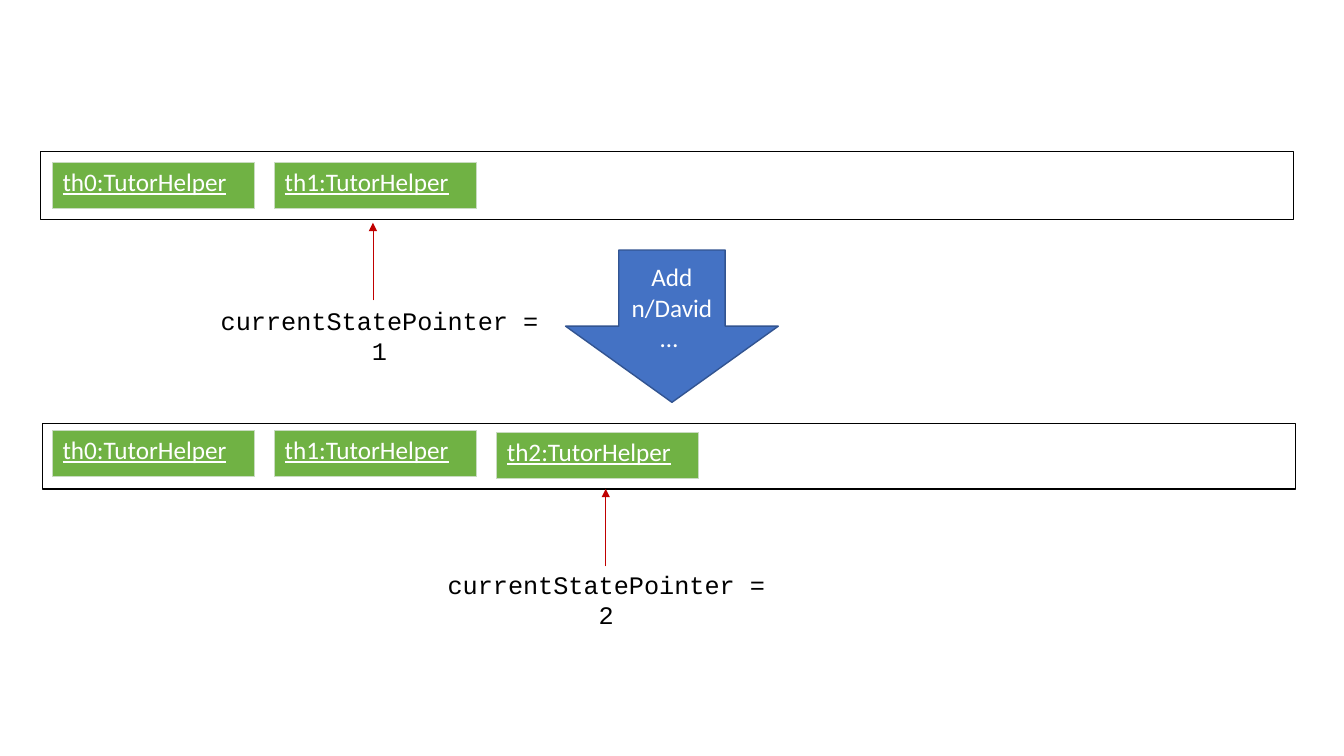
from lxml.etree import SubElement
from pptx import Presentation
from pptx.dml.color import RGBColor
from pptx.enum.shapes import MSO_CONNECTOR as Connector, MSO_SHAPE as Preset
from pptx.enum.text import MSO_ANCHOR as Anchor, MSO_AUTO_SIZE as AutoSize, PP_ALIGN as Align
from pptx.oxml import parse_xml
from pptx.oxml.ns import nsdecls, qn
from pptx.util import Pt

TILE_WIDTH, TILE_HEIGHT, TILE_PITCH = 144, 33.12, 158.7
LABEL_WIDTH, LABEL_HEIGHT = 252.7, 29


def color(value):
    return RGBColor.from_string(value)


def place(*lengths):
    return [Pt(length) for length in lengths]


def write(frame, text, font_color, font_name="Calibri", align=None, **formats):
    paragraph = frame.paragraphs[0]
    paragraph.alignment = align
    run = paragraph.add_run()
    run.text = text
    formats = {"name": font_name, "size": Pt(18), **formats}
    for name, value in formats.items():
        setattr(run.font, name, value)
    run.font.color.rgb = color(font_color)


def add_preset(slide, preset, box, line_color, fill_color=None):
    shape = slide.shapes.add_shape(preset, *place(*box))
    shape.shadow.inherit = False
    if fill_color:
        shape.fill.solid()
        shape.fill.fore_color.rgb = color(fill_color)
    else:
        shape.fill.background()
    shape.line.color.rgb = color(line_color)
    shape.line.width = Pt(1)
    return shape


def add_state_tile(slide, left, top, text):
    frame = slide.shapes.add_table(1, 1, *place(left, top, TILE_WIDTH, TILE_HEIGHT))
    cell = frame.table.cell(0, 0)
    cell.fill.solid()
    cell.fill.fore_color.rgb = color("70B244")
    write(cell.text_frame, text, "FFFFFF", underline=True, bold=False)
    properties = cell._tc.get_or_add_tcPr()
    for index, side in enumerate(("lnL", "lnR", "lnT", "lnB")):
        border = parse_xml(
            f'<a:{side} {nsdecls("a")} w="6350"><a:solidFill>'
            f'<a:srgbClr val="C9DBC1"/></a:solidFill></a:{side}>')
        properties.insert(index, border)


def add_state_list(slide, box, inset, tile_drops):
    left, top, width, height = box
    add_preset(slide, Preset.RECTANGLE, box, "000000")
    for index, drop in enumerate(tile_drops):
        add_state_tile(slide, left + inset + index * TILE_PITCH, top + drop,
                       f"th{index}:TutorHelper")


def add_pointer(slide, tip, label_left, label_top, state):
    x, tip_y = tip
    arrow = slide.shapes.add_connector(
        Connector.STRAIGHT, *place(x, tip_y + 55.4, x, tip_y))
    arrow.line.color.rgb = color("C00000")
    arrow.line.width = Pt(0.5)
    SubElement(arrow.line._get_or_add_ln(), qn("a:tailEnd"), type="triangle")
    SubElement(arrow._element.spPr, qn("a:effectLst"))
    label = slide.shapes.add_textbox(
        *place(label_left, label_top, LABEL_WIDTH, LABEL_HEIGHT))
    label.text_frame.word_wrap = True
    label.text_frame.auto_size = AutoSize.SHAPE_TO_FIT_TEXT
    write(label.text_frame, f"currentStatePointer = {state}", "000000",
          "Courier New", Align.CENTER)


def add_command_arrow(slide, box):
    shape = add_preset(slide, Preset.DOWN_ARROW, box, "325491", "4472C4")
    shape.text_frame.word_wrap = True
    shape.text_frame.vertical_anchor = Anchor.MIDDLE
    write(shape.text_frame, "Add n/David… ", "FFFFFF", align=Align.CENTER)


def build():
    presentation = Presentation()
    presentation.slide_width, presentation.slide_height = place(960, 540)
    slide = presentation.slides.add_slide(presentation.slide_layouts[6])
    add_command_arrow(slide, (404, 178.6, 152, 108.8))
    add_state_list(slide, (28.8, 108, 895, 49), 8.64, (8, 8))
    add_pointer(slide, (266.4, 159.1), 144.7, 214.6, 1)
    add_state_list(slide, (30.24, 302.4, 895, 46.8), 7.2, (5, 5, 6.5))
    add_pointer(slide, (432.7, 349.2), 306.7, 403.2, 2)
    presentation.save("out.pptx")


build()
